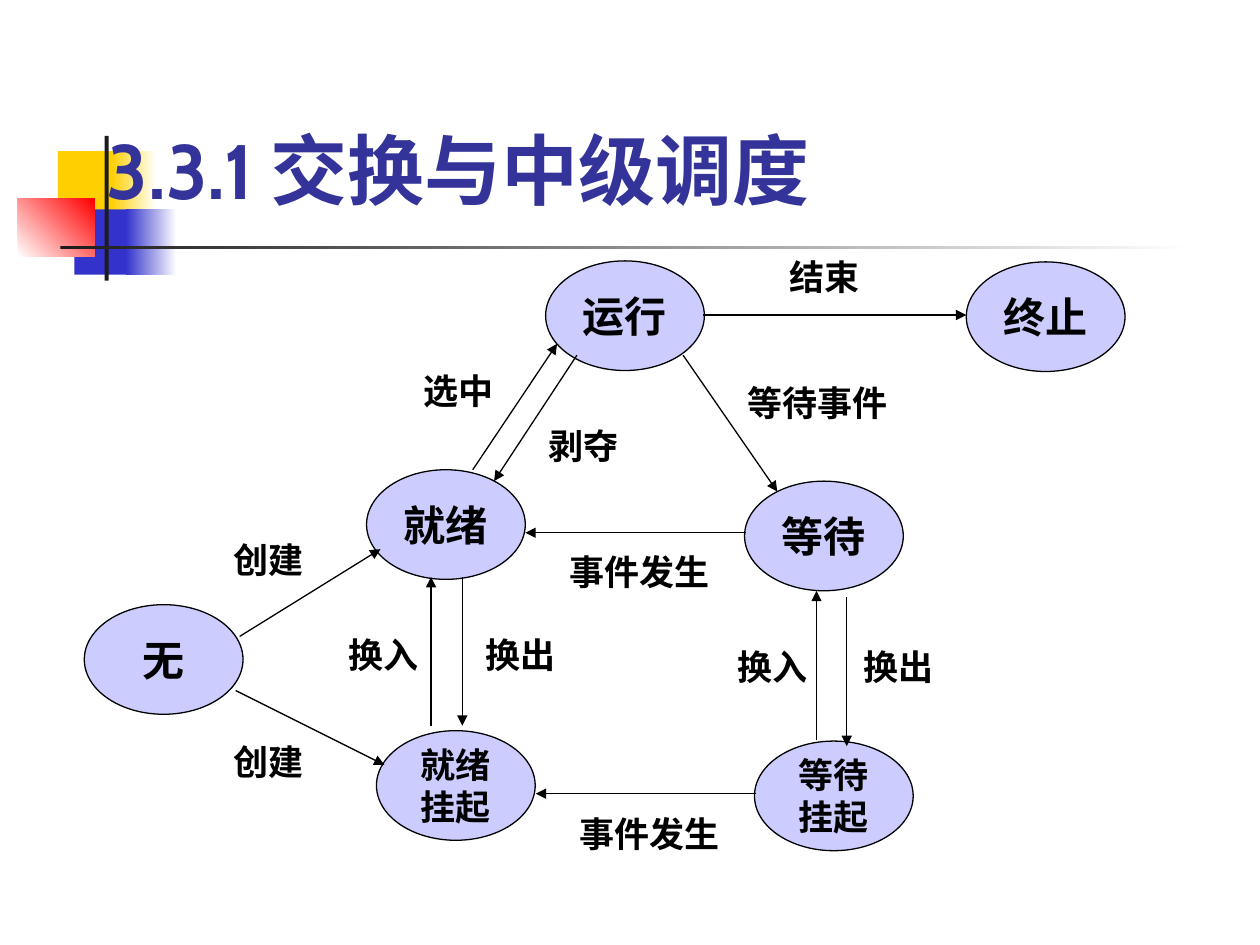
import pptx
import pptx.util
import pptx.dml.color
import pptx.enum.dml
import pptx.enum.shapes
import pptx.enum.text
import pptx.oxml.ns
import lxml.etree

Cm = pptx.util.Cm
Pt = pptx.util.Pt
RGBColor = pptx.dml.color.RGBColor
SHAPE = pptx.enum.shapes.MSO_SHAPE
ANCHOR = pptx.enum.text.MSO_ANCHOR
ALIGN = pptx.enum.text.PP_ALIGN
AUTO_SIZE = pptx.enum.text.MSO_AUTO_SIZE
qn = pptx.oxml.ns.qn

BLACK = RGBColor(0x00, 0x00, 0x00)
WHITE = RGBColor(0xFF, 0xFF, 0xFF)
CHARCOAL = RGBColor(0x1C, 0x1C, 0x1C)
YELLOW = RGBColor(0xFF, 0xCF, 0x01)
BLUE = RGBColor(0x33, 0x33, 0xCC)
RED = RGBColor(0xFF, 0x00, 0x00)
NAVY = RGBColor(0x33, 0x33, 0x99)
LAVENDER = RGBColor(0xCC, 0xCC, 0xFF)

TITLE_FONT = "Cabin"
BODY_FONT = "Times New Roman"
STATE_W, STATE_H = 3.2, 2.21
LABEL_H = 1.11


class StateDiagram:
    def __init__(self, prs):
        self.s = prs.slides.add_slide(prs.slide_layouts[5])
        self.body = {"name": BODY_FONT, "bold": True}

    def format_text(self, tf, text, size, align, color=BLACK, **changes):
        tf.text = text
        font_format = {**self.body, "size": Pt(size), **changes}
        for p in tf.paragraphs:
            p.alignment = align
            for r in p.runs:
                for name, value in font_format.items():
                    setattr(r.font, name, value)
                r.font.color.rgb = color

    def block(self, x, y, w, h, color, end=None, angle=0):
        sp = self.s.shapes.add_shape(SHAPE.RECTANGLE, Cm(x), Cm(y), Cm(w), Cm(h))
        sp.shadow.inherit = False
        sp.line.fill.background()
        if end is None:
            sp.fill.solid()
            sp.fill.fore_color.rgb = color
        else:
            sp.fill.gradient()
            sp.fill.gradient_angle = angle
            for stop, stop_color in zip(sp.fill.gradient_stops, (color, end)):
                stop.color.rgb = stop_color

    def title(self, text, x, y, w, h):
        sp = self.s.shapes.title
        place = {"left": Cm(x), "top": Cm(y), "width": Cm(w), "height": Cm(h)}
        for name, value in place.items():
            setattr(sp, name, value)
        tf = sp.text_frame
        tf.auto_size = AUTO_SIZE.NONE
        tf.vertical_anchor = ANCHOR.BOTTOM
        self.format_text(tf, text, 44, ALIGN.LEFT, NAVY, name=TITLE_FONT)
        self.s.shapes._spTree.append(sp._element)

    def state(self, text, x, y, size=24):
        sp = self.s.shapes.add_shape(
            SHAPE.OVAL, Cm(x), Cm(y), Cm(STATE_W), Cm(STATE_H))
        sp.shadow.inherit = False
        sp.fill.solid()
        sp.fill.fore_color.rgb = LAVENDER
        sp.line.color.rgb = BLACK
        sp.line.width = Pt(0.75)
        tf = sp.text_frame
        tf.word_wrap = False
        tf.vertical_anchor = ANCHOR.MIDDLE
        self.format_text(tf, text, size, ALIGN.CENTER)

    def arrow(self, x1, y1, x2, y2):
        cxn = self.s.shapes.add_connector(
            pptx.enum.shapes.MSO_CONNECTOR.STRAIGHT, Cm(x1), Cm(y1), Cm(x2), Cm(y2))
        cxn.line.color.rgb = BLACK
        cxn.line.width = Pt(0.75)
        ln = cxn.line._get_or_add_ln()
        lxml.etree.SubElement(ln, qn("a:tailEnd"), type="triangle")
        lxml.etree.SubElement(cxn._element.spPr, qn("a:effectLst"))

    def label(self, text, x, y):
        w = 2.34 if len(text) == 2 else 3.38
        tf = self.s.shapes.add_textbox(Cm(x), Cm(y), Cm(w), Cm(LABEL_H)).text_frame
        tf.word_wrap = True
        self.format_text(tf, text, 20, ALIGN.LEFT)


def main():
    prs = pptx.Presentation()
    prs.slide_width, prs.slide_height = Cm(25.4), Cm(19.05)
    d = StateDiagram(prs)

    d.block(1.17, 3.05, 1.22, 1.32, YELLOW)
    d.block(2.24, 3.05, 0.91, 1.32, YELLOW, WHITE)
    d.block(1.5, 4.22, 1.17, 1.32, BLUE)
    d.block(2.54, 4.22, 1.02, 1.32, BLUE, WHITE)
    d.block(0.36, 4.01, 1.55, 1.17, WHITE, RED, 45)
    d.block(2.11, 2.74, 0.08, 2.92, CHARCOAL)
    d.block(1.22, 4.95, 22.86, 0.08, CHARCOAL, WHITE)
    d.title("3.3.1 交换与中级调度", 1.9, 1.27, 21.59, 3.18)

    for text, x, y in (
        ("运行", 11, 5.26),
        ("终止", 19.48, 5.28),
        ("就绪", 7.39, 9.47),
        ("等待", 15.01, 9.7),
        ("无", 1.7, 12.19),
    ):
        d.state(text, x, y)
    d.state("就绪\n挂起", 7.59, 14.73, 20)
    d.state("等待\n挂起", 15.21, 14.94, 20)

    for ends in (
        (14.17, 6.35, 19.48, 6.35),
        (9.53, 9.47, 11.23, 6.93),
        (11.63, 7.16, 9.96, 9.7),
        (13.77, 7.16, 15.67, 9.91),
        (15.04, 10.74, 10.59, 10.74),
        (4.83, 12.83, 7.67, 11.07),
        (4.75, 13.92, 7.75, 15.42),
        (8.69, 14.63, 8.69, 11.63),
        (9.32, 11.63, 9.32, 14.63),
        (16.46, 14.91, 16.46, 11.91),
        (17.07, 12.04, 17.07, 15.04),
        (15.24, 16, 10.8, 16),
    ):
        d.arrow(*ends)

    for text, x, y in (
        ("结束", 15.67, 5.03),
        ("选中", 8.28, 7.32),
        ("剥夺", 10.8, 8.43),
        ("等待事件", 14.81, 7.57),
        ("事件发生", 11.23, 10.97),
        ("创建", 4.45, 10.74),
        ("创建", 4.45, 14.81),
        ("换入", 6.78, 12.65),
        ("换出", 9.53, 12.65),
        ("换入", 14.61, 12.88),
        ("换出", 17.15, 12.88),
        ("事件发生", 11.43, 16.26),
    ):
        d.label(text, x, y)

    prs.save("out.pptx")


if __name__ == "__main__":
    main()
